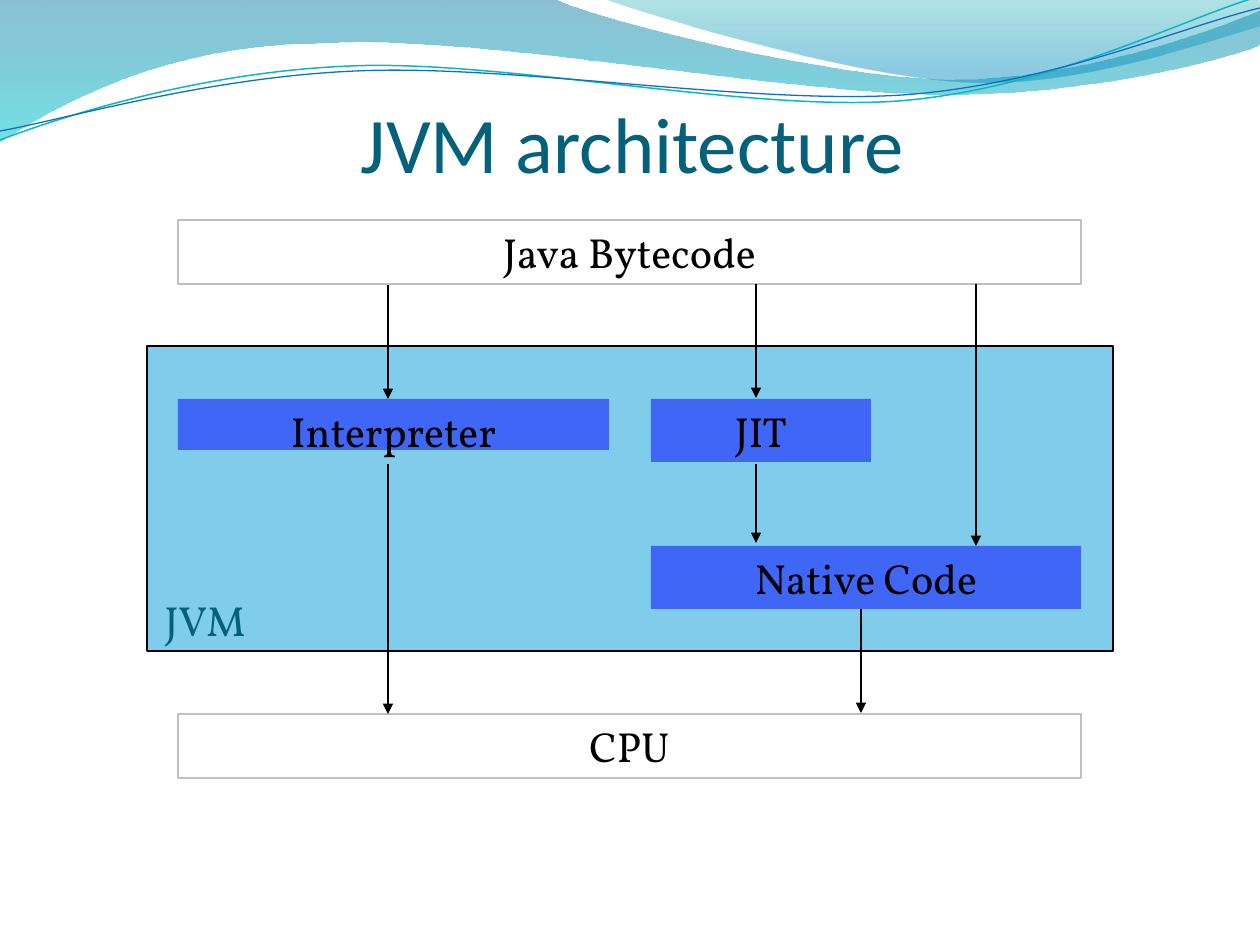
"""Builds the JVM architecture slide."""
import pptx
import pptx.dml.color
import pptx.enum.shapes
import pptx.enum.text
import pptx.oxml.ns
import pptx.util

SCALE = 914400 / 126
ALIGN = pptx.enum.text.PP_ALIGN
ANCHOR = pptx.enum.text.MSO_ANCHOR


def emu(px):
    return pptx.util.Emu(round(px * SCALE))


def rgb(value):
    return pptx.dml.color.RGBColor.from_string(value)


def qn(tag):
    return pptx.oxml.ns.qn(tag)


def set_alpha(element, percent):
    for color in element.iter(qn("a:srgbClr")):
        color.append(color.makeelement(qn("a:alpha"), {"val": str(percent * 1000)}))


def write(frame, text, font="Vollkorn", size=24, color="000000", align=ALIGN.CENTER):
    para = frame.paragraphs[0]
    para.alignment = align
    span = para.add_run()
    span.text = text
    span.font.name = font
    span.font.size = pptx.util.Pt(size)
    span.font.color.rgb = rgb(color)


class Slide:
    accent = "04617B"
    ink = "000000"
    thin = 0.75

    def __init__(self, deck):
        self.page = deck.slides.add_slide(deck.slide_layouts[5])
        self.shapes = self.page.shapes

    def set_line(self, line, color, weight=thin):
        line.color.rgb = rgb(color)
        line.width = pptx.util.Pt(weight)

    def title(self, text, left, top, width, height, indent):
        holder = self.shapes.title
        holder.left, holder.top, holder.width, holder.height = map(emu, (left, top, width, height))
        frame = holder.text_frame
        frame.word_wrap = True
        frame.auto_size = pptx.enum.text.MSO_AUTO_SIZE.NONE
        frame.vertical_anchor = ANCHOR.BOTTOM
        frame.margin_left, frame.margin_top = emu(indent), emu(6)
        frame.margin_right = frame.margin_bottom = 0
        write(frame, text, font="Calibri", size=45, color=self.accent, align=ALIGN.LEFT)

    def outline(self, start, segments, close):
        builder = self.shapes.build_freeform(*map(emu, start))
        points = [(emu(x), emu(y)) for segment in segments for x, y in segment]
        builder.add_line_segments(points, close=close)
        shape = builder.convert_to_shape()
        shape.shadow.inherit = False
        steps = iter(list(shape.element.iter(qn("a:lnTo"))))
        for segment in segments:
            group = [next(steps) for _ in segment]
            if len(group) == 3:
                curve = group[0].makeelement(qn("a:cubicBezTo"), {})
                group[0].addprevious(curve)
                for step in group:
                    curve.append(step[0])
                    step.getparent().remove(step)
        return shape

    def wave(self, start, segments, stops):
        shape = self.outline(start, segments, True)
        shape.line.fill.background()
        shape.fill.gradient()
        shape.fill.gradient_angle = 270
        for stop, (position, color, _) in zip(shape.fill.gradient_stops, stops):
            stop.position = position
            stop.color.rgb = rgb(color)
        for element, (_, _, alpha) in zip(shape.element.iter(qn("a:gs")), stops):
            set_alpha(element, alpha)

    def ripple(self, start, segments, color, weight):
        shape = self.outline(start, segments, False)
        shape.fill.background()
        self.set_line(shape.line, color, weight)

    def box(self, left, top, width, height, text=None, fill=None, line=None):
        shape = self.shapes.add_shape(
            pptx.enum.shapes.MSO_SHAPE.RECTANGLE, *map(emu, (left, top, width, height)))
        shape.shadow.inherit = False
        if fill:
            shape.fill.solid()
            shape.fill.fore_color.rgb = rgb(fill)
            set_alpha(shape.element.spPr, 50)
        else:
            shape.fill.background()
        if line:
            self.set_line(shape.line, line)
        else:
            shape.line.fill.background()
        if text:
            shape.text_frame.vertical_anchor = ANCHOR.TOP
            write(shape.text_frame, text, color=self.ink)

    def label(self, text, left, top, width, height):
        box = self.shapes.add_textbox(*map(emu, (left, top, width, height)))
        box.text_frame.word_wrap = True
        write(box.text_frame, text, color=self.accent)

    def down_arrow(self, x, top, bottom):
        arrow = self.shapes.add_connector(
            pptx.enum.shapes.MSO_CONNECTOR.STRAIGHT, *map(emu, (x, top, x, bottom)))
        self.set_line(arrow.line, self.ink)
        properties = arrow.element.spPr
        line = properties.find(qn("a:ln"))
        line.append(line.makeelement(qn("a:tailEnd"), {"type": "triangle"}))
        properties.append(properties.makeelement(qn("a:effectLst"), {}))


def main():
    deck = pptx.Presentation()
    deck.slide_width, deck.slide_height = emu(1260), emu(945)
    slide = Slide(deck)

    slide.wave((0, -1), [
        [(554, -1)],
        [(600, 21), (837, 79), (955, 79)],
        [(1075, 79), (1207, 33), (1260, 11)],
        [(1261, 45)],
        [(1239, 55), (1096, 96), (940, 94)],
        [(784, 94), (481, 35), (324, 43)],
        [(163, 44), (58, 105), (-1, 142)],
    ], [(0, "0074A1", 45), (1, "00C6CF", 55)])
    slide.wave((604, -1), [
        [(641, 14), (859, 78), (969, 82)],
        [(1079, 87), (1211, 40), (1260, 26)],
        [(1260, 0)],
    ], [(0, "00A1A9", 30), (0.8, "008BBF", 45)])
    slide.ripple((0, 140), [
        [(60, 117), (199, 72), (349, 66)],
        [(498, 59), (747, 112), (898, 101)],
        [(1050, 89), (1182, 19), (1257, -3)],
    ], "0AB8BF", 0.85)
    slide.ripple((0, 131), [
        [(59, 121), (207, 77), (357, 71)],
        [(508, 64), (752, 105), (903, 95)],
        [(1053, 84), (1184, 26), (1260, 8)],
    ], "0F6FC6", 0.75)

    slide.box(147, 346, 966, 305, fill="009DD9", line="000000")
    slide.title("JVM architecture", 147, 116, 1071, 73, indent=214)
    for text, top in (("Java Bytecode", 220), ("CPU", 714)):
        slide.box(178, top, 903, 64, text, line="C0C0C0")
    for text, left, top, width, height in (
            ("Interpreter", 178, 399, 431, 51),
            ("JIT", 651, 399, 220, 63),
            ("Native Code", 651, 546, 430, 63)):
        slide.box(left, top, width, height, text, fill="0000FF")
    for x, top, bottom in (
            (388, 285, 399), (756, 284, 398), (756, 464, 543),
            (861, 609, 713), (388, 464, 714), (976, 284, 546)):
        slide.down_arrow(x, top, bottom)
    slide.label("JVM", 137, 588, 136, 63)

    deck.save("out.pptx")


if __name__ == "__main__":
    main()
